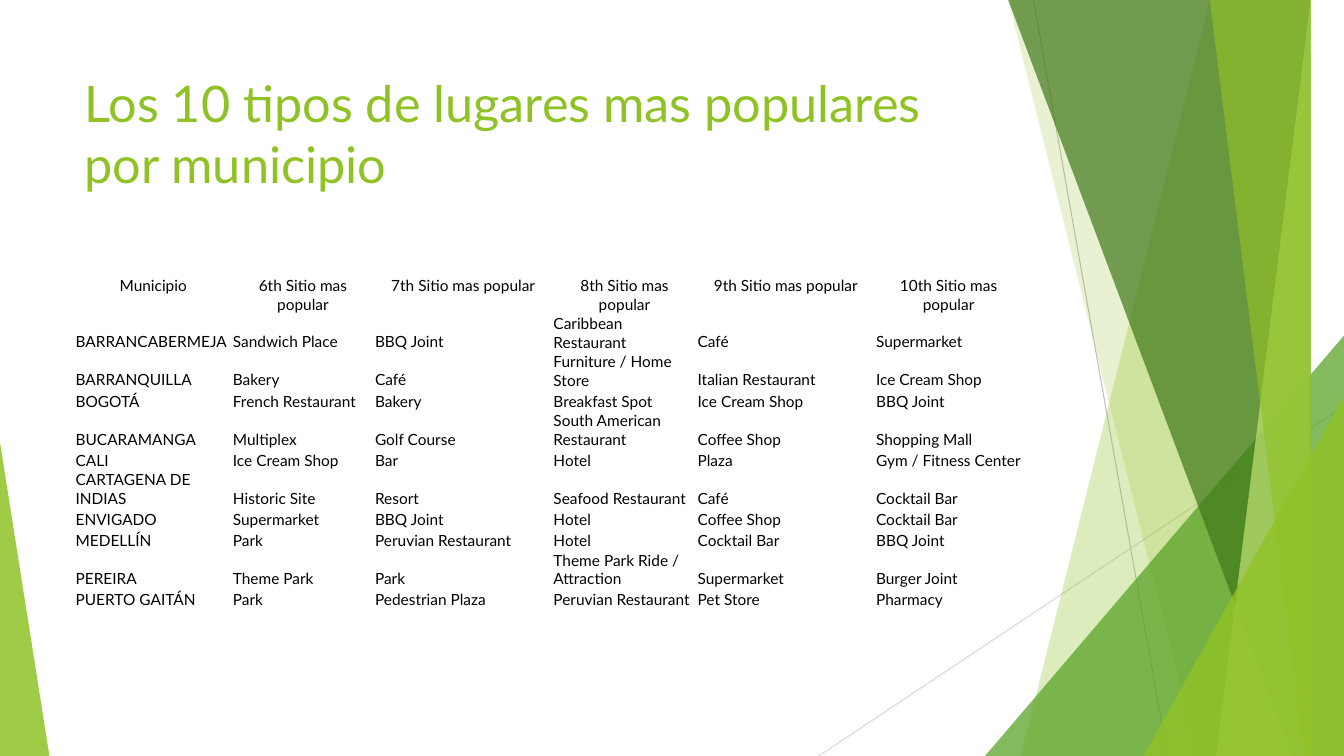
"""Build the slide listing the sixth to tenth most popular venue types by municipality."""
from lxml.etree import SubElement
from pptx import Presentation
from pptx.dml.color import RGBColor
from pptx.enum.shapes import MSO_CONNECTOR, MSO_SHAPE
from pptx.enum.text import MSO_ANCHOR as ANCHOR, PP_ALIGN as ALIGN
from pptx.oxml.ns import qn
from pptx.util import Inches, Pt

GREEN = RGBColor(0x90, 0xC2, 0x26)
MID_GREEN = RGBColor(0x54, 0xA0, 0x21)
DARK_GREEN = RGBColor(0x3F, 0x78, 0x19)
PALE_GREEN = RGBColor(0xC0, 0xE4, 0x74)
GREY = RGBColor(0xBF, 0xBF, 0xBF)
LIGHT_GREY = RGBColor(0xD9, 0xD9, 0xD9)
WHITE = RGBColor(0xFF, 0xFF, 0xFF)
BLACK = RGBColor(0, 0, 0)
FONT = "Lato"
RIGHT, TOP, BOTTOM = 13.33, -0.01, 7.5


def paint(sp, color, opacity):
    sp.shadow.inherit = False
    sp.line.fill.background()
    sp.fill.solid()
    sp.fill.fore_color.rgb = color
    srgb = sp.fill._xPr.find(qn("a:solidFill"))[0]
    SubElement(srgb, qn("a:alpha"), val=str(opacity * 1000))


def set_font(p, size, color):
    p.font.name = FONT
    p.font.size = Pt(size)
    p.font.color.rgb = color


prs = Presentation()
prs.slide_width, prs.slide_height = Inches(RIGHT), Inches(BOTTOM)
s = prs.slides.add_slide(prs.slide_layouts[6])
shapes = s.shapes

for x1, y1, x2, y2, color in [
    (10.25, 0, 11.58, BOTTOM, GREY),
    (RIGHT, 4.03, 8.12, BOTTOM, LIGHT_GREY),
]:
    line = shapes.add_connector(MSO_CONNECTOR.STRAIGHT, Inches(x1), Inches(y1), Inches(x2), Inches(y2))
    line.line.color.rgb = color
    line.line.width = Pt(0.75)
    SubElement(line._element.spPr, qn("a:effectLst"))

bands = [
    (12.28, 10.04, GREEN, 30),
    (10.5, 11.83, GREEN, 20),
    (10.21, 12.91, DARK_GREEN, 70),
    (13.03, 11.92, PALE_GREEN, 70),
    (11.96, 13.18, GREEN, 65),
]
triangles = [
    (9.77, 3.33, 3.56, 1, MID_GREEN, 72),
    (11.34, 3.93, 1.99, 1, GREEN, 80),
    (0, 4.39, 0.49, 0, GREEN, 85),
]
facets = bands[:2] + triangles[:1] + bands[2:] + triangles[1:]
for *geometry, color, opacity in facets:
    if len(geometry) == 2:
        top_x, bottom_x = geometry
        outline = shapes.build_freeform(top_x, TOP, scale=Inches(1))
        outline.add_line_segments([(RIGHT, TOP), (RIGHT, BOTTOM), (bottom_x, BOTTOM)], close=True)
        sp = outline.convert_to_shape()
    else:
        left, top, width, apex = geometry
        sp = shapes.add_shape(MSO_SHAPE.ISOSCELES_TRIANGLE, Inches(left), Inches(top),
                              Inches(width), Inches(BOTTOM - top))
        sp.adjustments[0] = apex
    paint(sp, color, opacity)

title = shapes.add_textbox(Inches(0.74), Inches(0.67), Inches(9.4), Inches(1.44))
tf = title.text_frame
tf.word_wrap = True
p = tf.paragraphs[0]
p.text = "Los 10 tipos de lugares mas populares\vpor municipio"
set_font(p, 36, GREEN)

header = ["Municipio"] + [f"{n}th Sitio mas popular" for n in range(6, 11)]
venues = [
    ("BARRANCABERMEJA", "Sandwich Place", "BBQ Joint", "Caribbean Restaurant", "Café", "Supermarket"),
    ("BARRANQUILLA", "Bakery", "Café", "Furniture / Home Store", "Italian Restaurant", "Ice Cream Shop"),
    ("BOGOTÁ", "French Restaurant", "Bakery", "Breakfast Spot", "Ice Cream Shop", "BBQ Joint"),
    ("BUCARAMANGA", "Multiplex", "Golf Course", "South American Restaurant", "Coffee Shop", "Shopping Mall"),
    ("CALI", "Ice Cream Shop", "Bar", "Hotel", "Plaza", "Gym / Fitness Center"),
    ("CARTAGENA DE INDIAS", "Historic Site", "Resort", "Seafood Restaurant", "Café", "Cocktail Bar"),
    ("ENVIGADO", "Supermarket", "BBQ Joint", "Hotel", "Coffee Shop", "Cocktail Bar"),
    ("MEDELLÍN", "Park", "Peruvian Restaurant", "Hotel", "Cocktail Bar", "BBQ Joint"),
    ("PEREIRA", "Theme Park", "Park", "Theme Park Ride / Attraction", "Supermarket", "Burger Joint"),
    ("PUERTO GAITÁN", "Park", "Pedestrian Plaza", "Peruvian Restaurant", "Pet Store", "Pharmacy"),
]
rows = [header] + venues
col_widths = [1.56, 1.41, 1.77, 1.43, 1.77, 1.46]
row_heights = [0.21, 0.21, 0.37, 0.21, 0.37, 0.21, 0.21, 0.21, 0.21, 0.24, 0.21]
table = shapes.add_table(len(rows), len(header), Inches(0.74), Inches(2.73), Inches(9.4), Inches(3.3)).table
table.first_row = table.horz_banding = False
for column, width in zip(table.columns, col_widths):
    column.width = Inches(width)
for row, height, texts in zip(table.rows, row_heights, rows):
    row.height = Inches(height)
    for cell, text in zip(row.cells, texts):
        cell.fill.solid()
        cell.fill.fore_color.rgb = WHITE
        cell.margin_left = cell.margin_right = cell.margin_top = Inches(0.01)
        cell.margin_bottom = 0
        cell.vertical_anchor = ANCHOR.TOP if texts is header else ANCHOR.BOTTOM
        p = cell.text_frame.paragraphs[0]
        p.text = text
        p.alignment = ALIGN.CENTER if texts is header else ALIGN.LEFT
        set_font(p, 11, BLACK)

prs.save("out.pptx")
